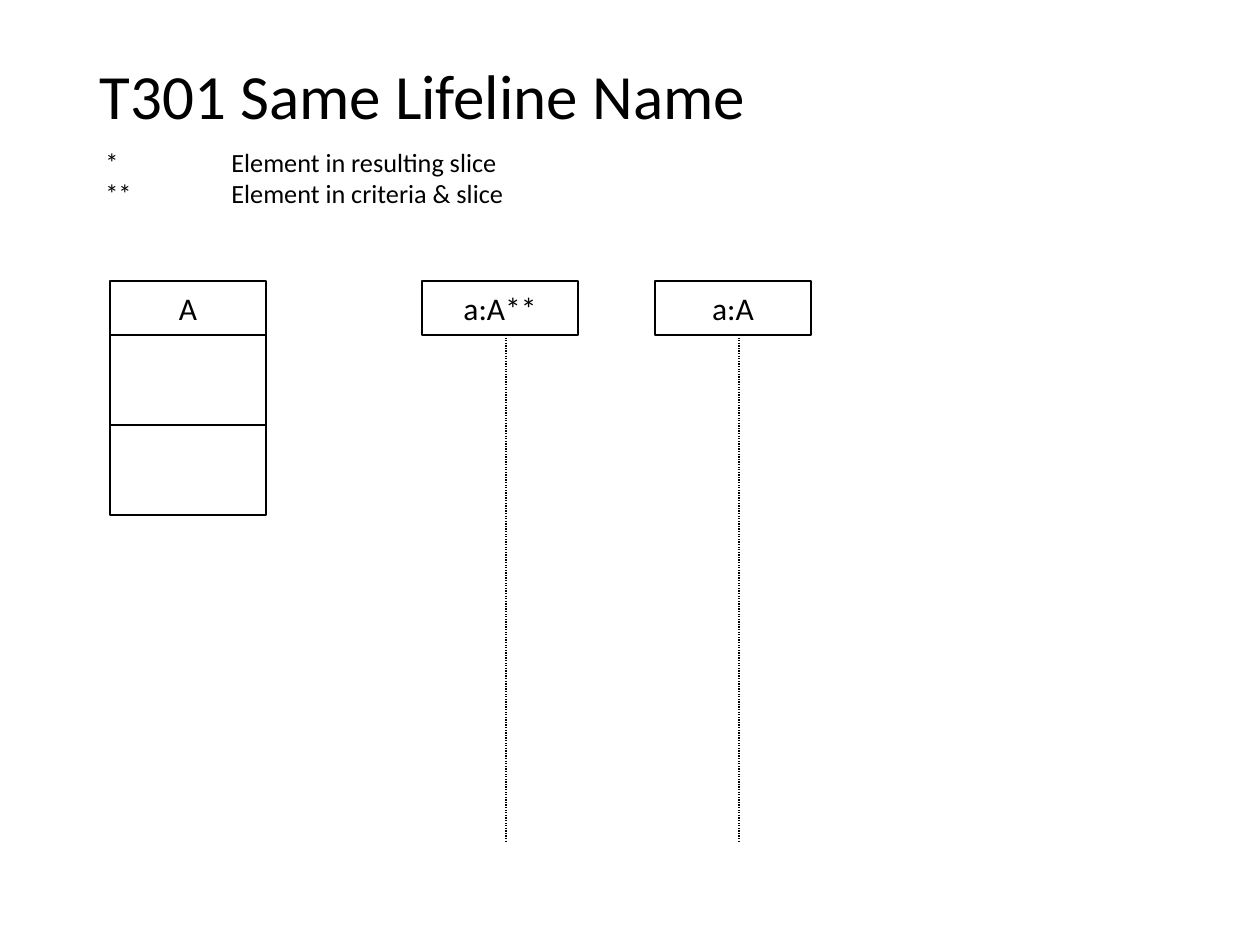
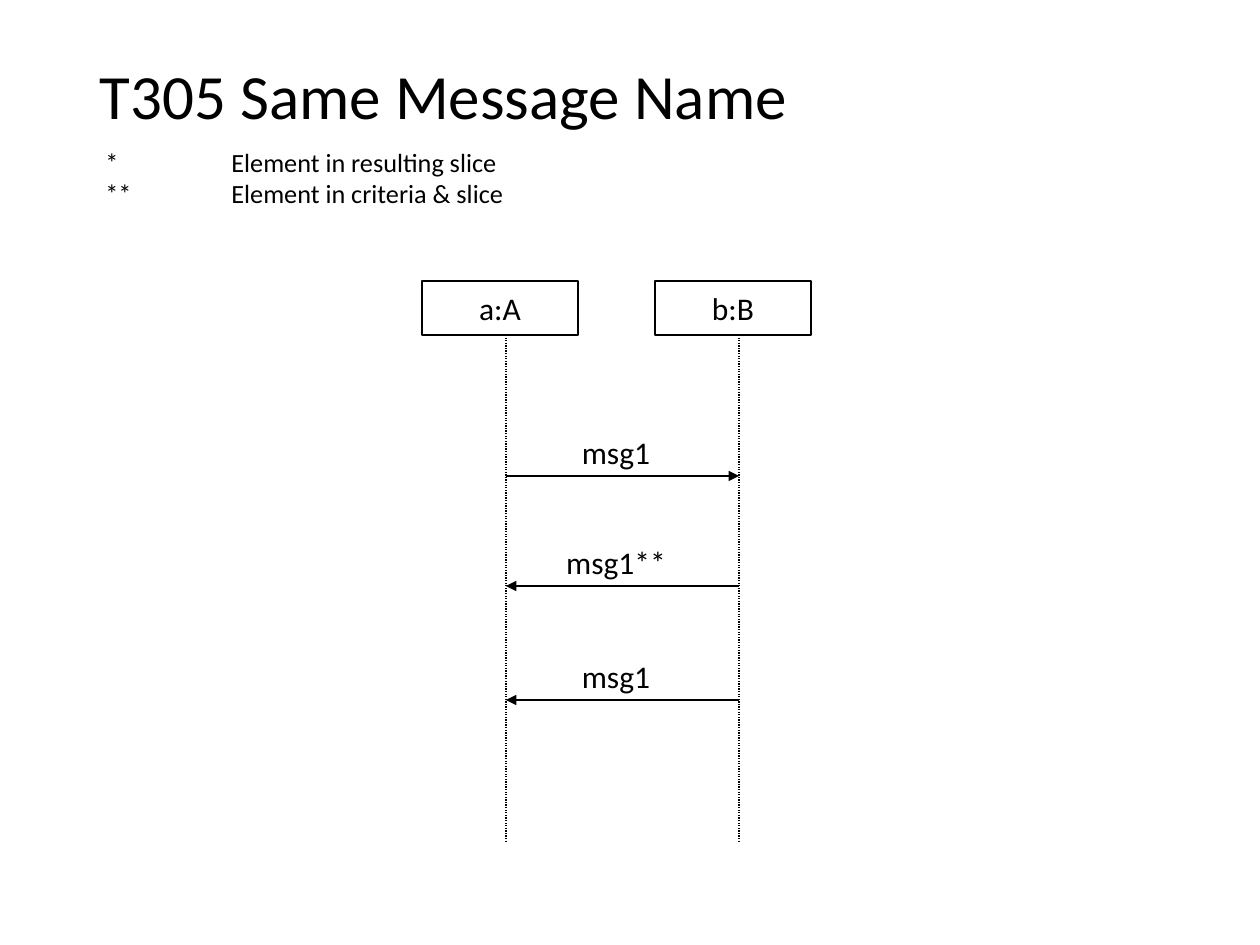
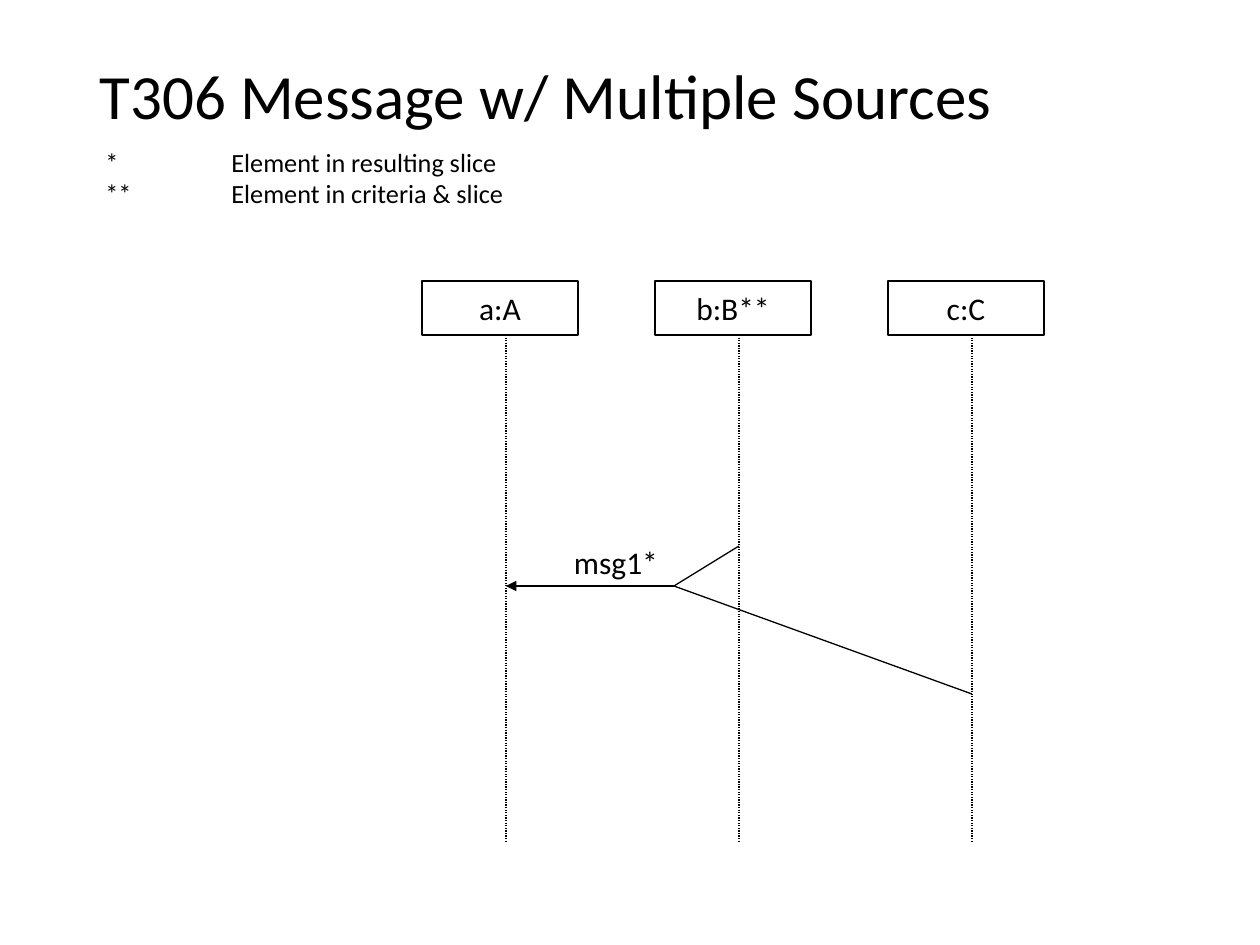
from lxml.etree import SubElement
from pptx import Presentation
from pptx.dml.color import RGBColor
from pptx.enum.dml import MSO_LINE
from pptx.enum.shapes import MSO_CONNECTOR, MSO_SHAPE
from pptx.enum.text import MSO_ANCHOR as ANCHOR, PP_ALIGN as ALIGN
from pptx.oxml.ns import qn
from pptx.util import Pt

PX = 914400 / 126
BLACK = RGBColor(0, 0, 0)
WHITE = RGBColor(255, 255, 255)
FONT = "Calibri"

LEGEND = ["*\tElement in resulting slice", "**\tElement in criteria & slice"]

# A message is (text, y, points); its arrow ends at the last point.
# A branch is a plain line between two points.
A, B, C = AXES = [506 + 233 * i for i in range(3)]
FORK = (674, 586)
SLIDES = [
    {"title": "T301 Same Lifeline Name", "lifelines": ["a:A**", "a:A"], "class": "A"},
    {"title": "T305 Same Message Name", "lifelines": ["a:A", "b:B"],
     "messages": [("msg1", 476, A, B), ("msg1**", 586, B, A), ("msg1", 700, B, A)]},
    {"title": "T306 Message w/ Multiple Sources", "lifelines": ["a:A", "b:B**", "c:C"],
     "messages": [("msg1*", 586, FORK[0], A)],
     "branches": [(FORK, (B, 546)), (FORK, (C, 694))]},
]

HEAD_TOP, HEAD_W, HEAD_H = 281, 156, 54
HEAD_OFFSET = 84
LIFELINE_END = 843
CLASS_LEFT, SECTION_H = 110, 90
LABEL_LEFT, LABEL_W, LABEL_H, LABEL_RISE = 541, 150, 88, 49


def px(*lengths):
    return [round(n * PX) for n in lengths]


def write(shape, *lines, size=18, align=ALIGN.LEFT, anchor=ANCHOR.TOP,
          wrap=True, spacing=None, tab=None):
    tf = shape.text_frame
    tf.word_wrap, tf.vertical_anchor = wrap, anchor
    for i, line in enumerate(lines):
        p = tf.add_paragraph() if i else tf.paragraphs[0]
        p.alignment = align
        if spacing:
            p.line_spacing = spacing
        if tab:
            tabs = SubElement(p._p.get_or_add_pPr(), qn("a:tabLst"))
            SubElement(tabs, qn("a:tab"), pos=str(px(tab)[0]), algn="l")
        r = p.add_run()
        r.text = line
        r.font.name, r.font.size = FONT, Pt(size)
        r.font.color.rgb = BLACK


def add_box(s, left, top, height, text=None):
    sp = s.shapes.add_shape(MSO_SHAPE.RECTANGLE, *px(left, top, HEAD_W, height))
    sp.shadow.inherit = False
    sp.fill.solid()
    sp.fill.fore_color.rgb = WHITE
    sp.line.color.rgb, sp.line.width = BLACK, Pt(0.94)
    if text:
        write(sp, text, align=ALIGN.CENTER, anchor=ANCHOR.MIDDLE)


def add_line(s, start, end, dash=None, arrow=False):
    cx = s.shapes.add_connector(MSO_CONNECTOR.STRAIGHT, *px(*start, *end))
    cx.line.color.rgb, cx.line.width = BLACK, Pt(0.75)
    if dash:
        cx.line.dash_style = dash
    if arrow:
        SubElement(cx.line._get_or_add_ln(), qn("a:tailEnd"), type="triangle")
    SubElement(cx._element.spPr, qn("a:effectLst"))


def add_lifeline(s, axis, name):
    add_box(s, axis - HEAD_OFFSET, HEAD_TOP, HEAD_H, name)
    add_line(s, (axis, HEAD_TOP + HEAD_H), (axis, LIFELINE_END), dash=MSO_LINE.ROUND_DOT)


def add_class(s, name):
    """Draw a class box: a name above two empty sections."""
    top = HEAD_TOP
    for height, text in [(HEAD_H, name), (SECTION_H, None), (SECTION_H, None)]:
        add_box(s, CLASS_LEFT, top, height, text)
        top += height


def add_message(s, text, y, start, end):
    add_line(s, (start, y), (end, y), arrow=True)
    label = s.shapes.add_textbox(*px(LABEL_LEFT, y - LABEL_RISE, LABEL_W, LABEL_H))
    write(label, text, align=ALIGN.CENTER, wrap=False)


def add_slide(prs, content):
    s = prs.slides.add_slide(prs.slide_layouts[5])
    title = s.shapes.title
    title.left, title.top, title.width, title.height = px(87, 50, 1087, 98)
    write(title, content["title"], size=36, anchor=ANCHOR.MIDDLE, spacing=0.9)
    legend = s.shapes.add_textbox(*px(93, 140, 522, 78))
    write(legend, *LEGEND, size=15, tab=126)

    for axis, name in zip(AXES, content["lifelines"]):
        add_lifeline(s, axis, name)
    if "class" in content:
        add_class(s, content["class"])
    for message in content.get("messages", []):
        add_message(s, *message)
    for start, end in content.get("branches", []):
        add_line(s, start, end)


def main():
    prs = Presentation()
    prs.slide_width, prs.slide_height = px(1260, 945)
    for content in SLIDES:
        add_slide(prs, content)
    prs.save("out.pptx")


if __name__ == "__main__":
    main()
